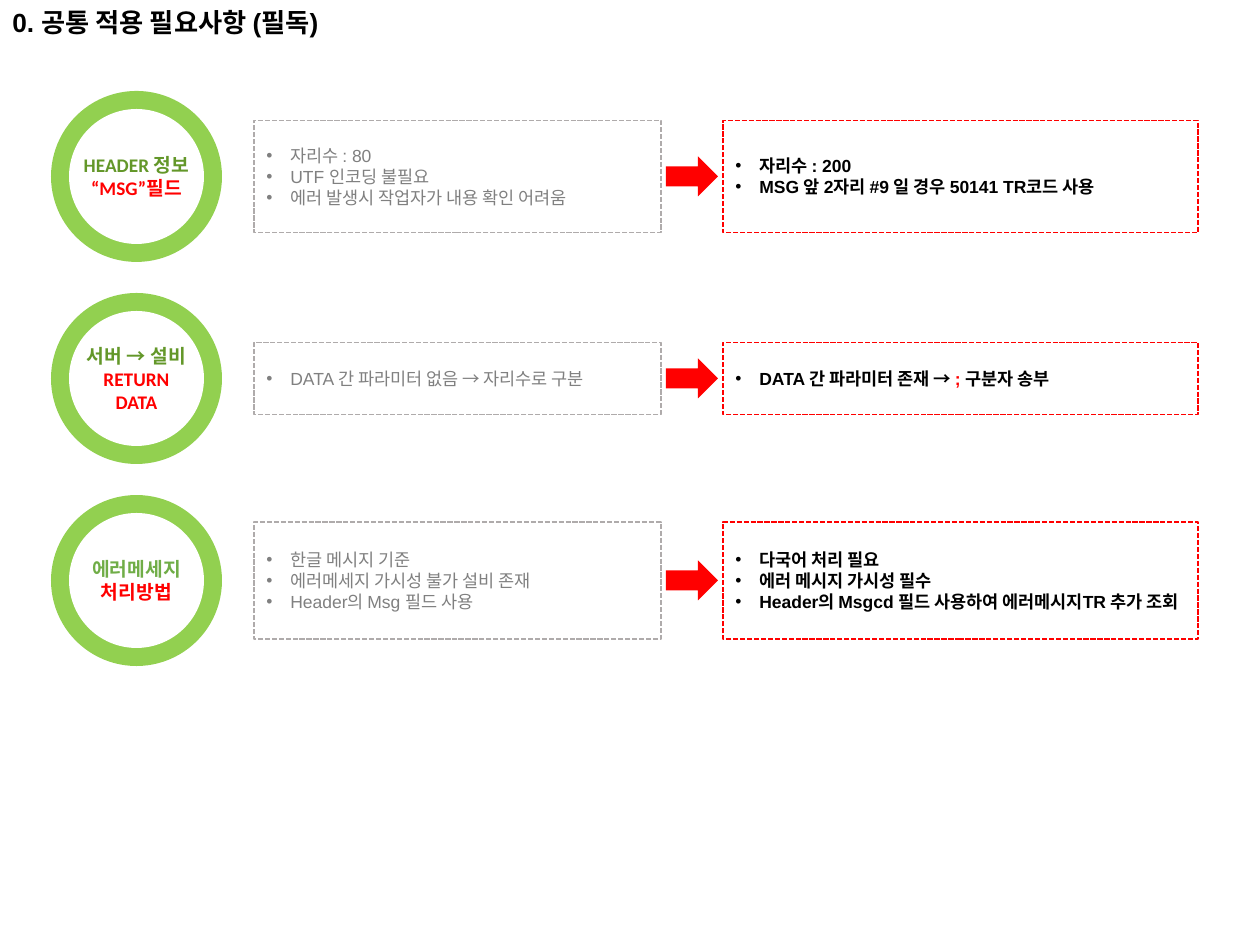
import lxml.etree
import pptx
import pptx.dml.color
import pptx.enum.dml
import pptx.enum.shapes
import pptx.enum.text
import pptx.oxml.ns
import pptx.util

RGB = pptx.dml.color.RGBColor
SHAPE = pptx.enum.shapes.MSO_SHAPE
ALIGN = pptx.enum.text.PP_ALIGN

GREEN = RGB(0x92, 0xD0, 0x50)
DARK_GREEN = RGB(0x63, 0x97, 0x29)
LEAF_GREEN = RGB(0x70, 0xAD, 0x47)
RED = RGB(0xFF, 0x00, 0x00)
WHITE = RGB(0xFF, 0xFF, 0xFF)
BLACK = RGB(0x00, 0x00, 0x00)
GRAY = RGB(0x80, 0x80, 0x80)
LIGHT_GRAY = RGB(0xAF, 0xAB, 0xAB)

EMU_PER_PX = 914400 / 126
ROW_LEFT, ROW_TOP, ROW_PITCH, ROW_WIDTH, ROW_HEIGHT = 51, 91, 202, 1147, 171

TITLE_FONT = {"name": "Arial", "size": pptx.util.Pt(15), "bold": True}
TOPIC_FONT = {"name": "Calibri", "size": pptx.util.Pt(11), "bold": True}
BEFORE_FONT = {"name": "Arial", "size": pptx.util.Pt(10), "bold": False}
AFTER_FONT = {**BEFORE_FONT, "bold": True}
FRAME = {"word_wrap": True, "vertical_anchor": pptx.enum.text.MSO_ANCHOR.MIDDLE}
DASHED = {"width": pptx.util.Pt(1), "dash_style": pptx.enum.dml.MSO_LINE.SQUARE_DOT}

ROWS = [
    {
        "topic": [[("HEADER 정보", DARK_GREEN)], [("“MSG”필드", RED)]],
        "card_height": 112,
        "before": ["자리수 : 80", "UTF 인코딩 불필요", "에러 발생시 작업자가 내용 확인 어려움"],
        "after": [
            [("자리수 : 200", BLACK)],
            [("MSG 앞 2자리 #9 일 경우 50141 TR코드 사용", BLACK)],
        ],
    },
    {
        "topic": [[("서버 → 설비", DARK_GREEN)], [("RETURN", RED)], [("DATA", RED)]],
        "card_height": 72,
        "before": ["DATA 간 파라미터 없음 → 자리수로 구분"],
        "after": [[("DATA 간 파라미터 존재 → ", BLACK), ("; ", RED), ("구분자 송부", BLACK)]],
    },
    {
        "topic": [[("에러메세지", LEAF_GREEN)], [("처리방법", RED)]],
        "card_height": 117,
        "before": ["한글 메시지 기준", "에러메세지 가시성 불가 설비 존재", "Header의 Msg 필드 사용"],
        "after": [
            [("다국어 처리 필요", BLACK)],
            [("에러 메시지 가시성 필수", BLACK)],
            [("Header의 Msgcd 필드 사용하여 에러메시지TR 추가 조회", BLACK)],
        ],
    },
]


def px(length):
    """Turn a length in px into EMU."""
    return pptx.util.Emu(round(length * EMU_PER_PX))


def apply(target, formats):
    """Set every format value on the target."""
    for attribute, value in formats.items():
        setattr(target, attribute, value)


def add_bullet(paragraph):
    """Give the paragraph a hanging round bullet."""
    properties = paragraph._p.get_or_add_pPr()
    properties.set("marL", str(px(24)))
    properties.set("indent", str(-px(24)))
    for tag, key, value in (("a:buFont", "typeface", "Arial"), ("a:buChar", "char", "•")):
        lxml.etree.SubElement(properties, pptx.oxml.ns.qn(tag)).set(key, value)


def write(frame, lines, font, align=ALIGN.LEFT, bullets=False):
    """Fill a text frame with lines made of (text, colour) runs."""
    apply(frame, FRAME)
    for index, line in enumerate(lines):
        paragraph = frame.add_paragraph() if index else frame.paragraphs[0]
        paragraph.alignment = align
        if bullets:
            add_bullet(paragraph)
        for text, color in line:
            run = paragraph.add_run()
            run.text = text
            apply(run.font, font)
            run.font.color.rgb = color


def add_plain(shapes, preset, box, fill):
    """Add a flat preset shape without an outline."""
    shape = shapes.add_shape(preset, *map(px, box))
    shape.shadow.inherit = False
    shape.fill.solid()
    shape.fill.fore_color.rgb = fill
    shape.line.fill.background()
    return shape


def add_title(shapes, box):
    """Place the slide title."""
    title = shapes.add_textbox(*map(px, box))
    write(title.text_frame, [[("0. 공통 적용 필요사항 (필독)", BLACK)]], TITLE_FONT)


def add_topic(shapes, box, lines):
    """Place a green ring with its topic inside."""
    left, top, size, _ = box
    ring = 18
    inner = (left + ring, top + ring, size - 2 * ring, size - 2 * ring)
    group = shapes.add_group_shape().shapes
    add_plain(group, SHAPE.OVAL, box, GREEN)
    add_plain(group, SHAPE.OVAL, inner, WHITE)
    topic = group.add_textbox(*map(px, inner))
    write(topic.text_frame, lines, TOPIC_FONT, ALIGN.CENTER)


def add_card(shapes, box, lines, font, border):
    """Place a dashed card with bulleted lines."""
    card = add_plain(shapes, SHAPE.RECTANGLE, box, WHITE)
    card.line.color.rgb = border
    apply(card.line, DASHED)
    write(card.text_frame, lines, font, bullets=True)


def add_row(shapes, box, row):
    """Place a topic, its before and after cards and the arrow between them."""
    left, top, width, height = box
    middle = top + height / 2
    card_height = row["card_height"]
    card_top = middle - card_height / 2
    before = [[(text, GRAY)] for text in row["before"]]
    add_topic(shapes, (left, top, height, height), row["topic"])
    add_card(shapes, (left + 203, card_top, 407, card_height), before, BEFORE_FONT, LIGHT_GRAY)
    add_plain(shapes, SHAPE.RIGHT_ARROW, (left + 615, middle - 20, 52, 40), RED)
    add_card(shapes, (left + width - 475, card_top, 475, card_height), row["after"], AFTER_FONT, RED)


def main():
    """Build the slide and save it."""
    deck = pptx.Presentation()
    apply(deck, {"slide_width": px(1260), "slide_height": px(945)})
    shapes = deck.slides.add_slide(deck.slide_layouts[6]).shapes
    add_title(shapes, (0, 0, 630, 44))
    for index, row in enumerate(ROWS):
        add_row(shapes, (ROW_LEFT, ROW_TOP + index * ROW_PITCH, ROW_WIDTH, ROW_HEIGHT), row)
    deck.save("out.pptx")


if __name__ == "__main__":
    main()
